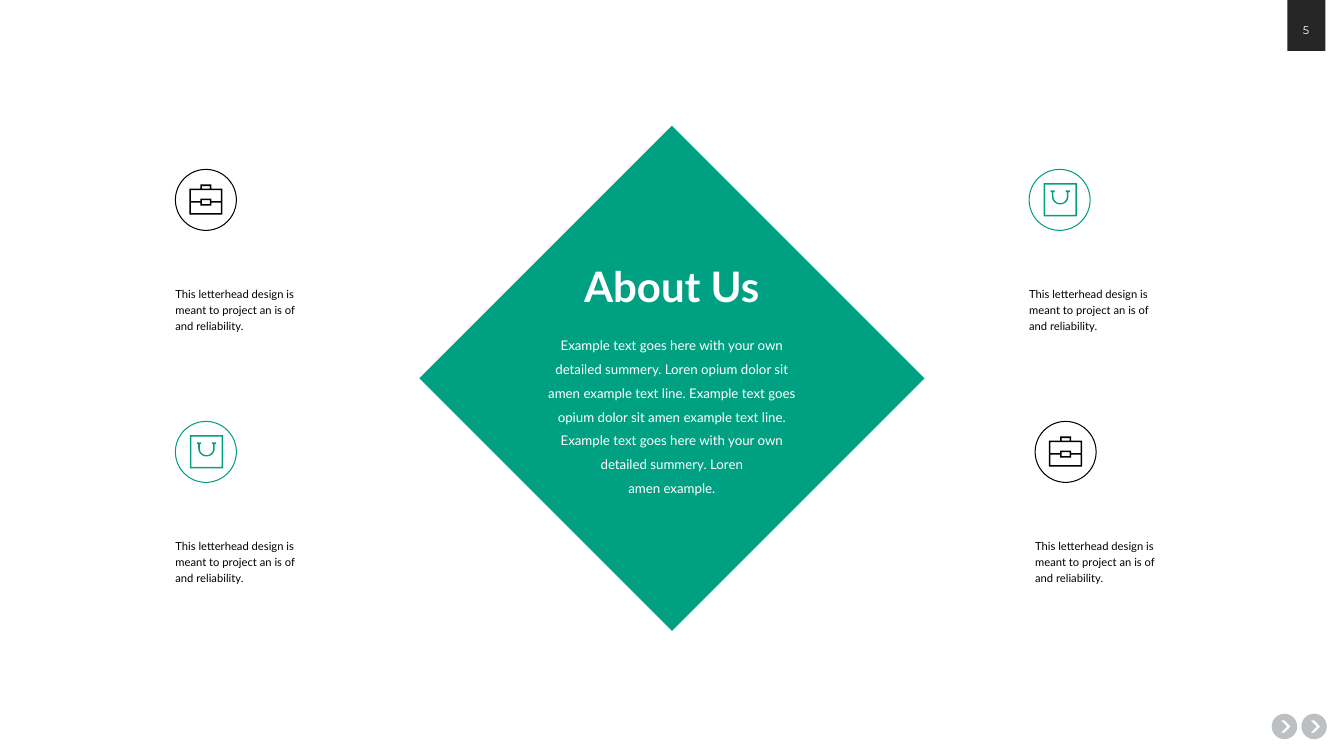
import math

import pptx
import pptx.dml.color
import pptx.enum.shapes
import pptx.enum.text
import pptx.oxml.ns
import pptx.util
from lxml import etree

Pt = pptx.util.Pt
SHAPE = pptx.enum.shapes.MSO_SHAPE
ALIGN = pptx.enum.text.PP_ALIGN
ANCHOR = pptx.enum.text.MSO_ANCHOR
AUTO = pptx.enum.text.MSO_AUTO_SIZE

COLORS = {
    "green": "00A082",
    "black": "000000",
    "white": "FFFFFF",
    "tab": "262626",
    "number": "FEFEFE",
    "button": "7D8287",
}
CARD_TEXT = "This letterhead design is meant to project an is of and reliability."
ABOUT_TEXT = [
    "Example text goes here with your own detailed summery. Loren opium dolor sit "
    "amen example text line. Example text goes opium dolor sit amen example text line. "
    "Example text goes here with your own detailed summery. Loren",
    "amen example.",
]
CARDS = [
    (735.1, 121, "green", "bag"),
    (739.4, 301, "black", "briefcase"),
    (125.3, 121, "black", "briefcase"),
    (125.3, 301, "green", "bag"),
]
CIRCLE = 43.6


def rgb(name):
    return pptx.dml.color.RGBColor.from_string(COLORS[name])


def apply_format(target, values):
    for name, value in values.items():
        setattr(target, name, value)


def paint(sp, fill=None, line=None, alpha=None):
    sp.shadow.inherit = False
    if fill:
        sp.fill.solid()
        sp.fill.fore_color.rgb = rgb(fill)
    else:
        sp.fill.background()
    if line:
        sp.line.color.rgb = rgb(line)
        sp.line.width = Pt(0.75)
    else:
        sp.line.fill.background()
    if alpha:
        color = sp.element.spPr.find(".//" + pptx.oxml.ns.qn("a:srgbClr"))
        etree.SubElement(color, pptx.oxml.ns.qn("a:alpha"), val=str(alpha * 1000))


def add_preset(s, kind, box, **style):
    sp = s.shapes.add_shape(kind, *map(Pt, box))
    paint(sp, **style)
    return sp


def write(sp, lines, color, font, paragraph, frame):
    tf = sp.text_frame
    apply_format(tf, {"word_wrap": True, "vertical_anchor": ANCHOR.MIDDLE, **frame})
    for i, line in enumerate(lines):
        p = tf.add_paragraph() if i else tf.paragraphs[0]
        apply_format(p, paragraph)
        r = p.add_run()
        r.text = line
        apply_format(r.font, {"name": "Lato", **font})
        r.font.color.rgb = rgb(color)


def add_text(s, box, lines, color, font, paragraph, frame):
    sp = s.shapes.add_textbox(*map(Pt, box))
    write(sp, lines, color, font, paragraph, frame)


def add_outline(s, left, top, contours, color):
    contours = [[(Pt(left + x), Pt(top + y)) for x, y in c] for c in contours]
    builder = s.shapes.build_freeform(*contours[0][0], scale=1.0)
    for i, (start, *rest) in enumerate(contours):
        if i:
            builder.move_to(*start)
        builder.add_line_segments(rest, close=True)
    paint(builder.convert_to_shape(), fill=color)


def rectangle(x1, y1, x2, y2):
    return [(x1, y1), (x2, y1), (x2, y2), (x1, y2)]


def notched(x1, y1, x2, y2, notch, edge="top"):
    if edge == "top":
        return [(x1, y1), (7.9, y1), (7.9, notch), (15.8, notch),
                (15.8, y1), (x2, y1), (x2, y2), (x1, y2)]
    return [(x1, y1), (x2, y1), (x2, y2), (15.8, y2),
            (15.8, notch), (7.9, notch), (7.9, y2), (x1, y2)]


def arc(rx, ry, start, end, steps=24):
    angles = [math.radians(start + (end - start) * i / steps) for i in range(steps + 1)]
    return [(11.8 + rx * math.cos(a), 9.4 + ry * math.sin(a)) for a in angles]


def add_briefcase(s, left, top, color):
    add_outline(s, left + 9.9, top + 10.8, [
        notched(0, 2.9, 23.7, 21.6, 0),
        rectangle(9, 1.1, 14.7, 2.9),
        notched(1.1, 4.1, 22.6, 11.9, 10.1, "bottom"),
        rectangle(9, 11.1, 14.7, 14),
        notched(1.1, 13, 22.6, 20.5, 15.1),
    ], color)


def add_bag(s, left, top, color):
    left, top = left + 10.4, top + 9.9
    add_outline(s, left, top, [
        rectangle(0, 0, 23.7, 23.7),
        rectangle(1.1, 1.1, 22.6, 22.6),
    ], color)
    right_foot = [(17.7, 6.3), (18.7, 6.3), (18.7, 5.1), (15.7, 5.1), (15.7, 6.3), (16.6, 6.3)]
    left_foot = [(23.6 - x, y) for x, y in reversed(right_foot)]
    handle = arc(5.9, 5.7, 180, 0) + right_foot + arc(4.8, 4.8, 0, 180) + left_foot
    add_outline(s, left, top, [handle], color)


ICONS = {"bag": add_bag, "briefcase": add_briefcase}


def add_card(s, left, top, color, icon):
    add_preset(s, SHAPE.OVAL, (left, top, CIRCLE, CIRCLE), line=color)
    ICONS[icon](s, left, top, color)
    margins = dict.fromkeys(("margin_left", "margin_top", "margin_right", "margin_bottom"), 0)
    add_text(s, (left, top + 80.6, 95.8, 37.4), [CARD_TEXT], "black",
             {"size": Pt(8)}, {"line_spacing": 1.2}, margins)


def add_button(s, left):
    add_preset(s, SHAPE.OVAL, (left, 509.8, 18.2, 18.2), fill="button", alpha=50)
    chevron = add_preset(s, SHAPE.CHEVRON, (left + 6.8, 514.6, 6.5, 8.8), fill="white")
    chevron.adjustments[0] = 0.66


def add_page_number(s):
    add_preset(s, SHAPE.RECTANGLE, (919.6, -2, 27.1, 38.4), fill="tab")
    add_text(s, (916, 13.7, 34, 15.1), ["5"], "number",
             {"size": Pt(8), "name": "Montserrat"}, {"alignment": ALIGN.CENTER}, {})


def add_about(s):
    add_preset(s, SHAPE.DIAMOND, (299.6, 89.9, 360.8, 360.8), fill="green")
    add_text(s, (378, 231.8, 203.8, 126), ABOUT_TEXT, "white", {"size": Pt(9.5)},
             {"alignment": ALIGN.CENTER, "line_spacing": 1.5},
             {"auto_size": AUTO.SHAPE_TO_FIT_TEXT})
    title = s.shapes.title
    box = {"left": 408.2, "top": 182.2, "width": 143.3, "height": 43.9}
    apply_format(title, {name: Pt(value) for name, value in box.items()})
    write(title, ["About Us"], "white", {"size": Pt(30), "bold": True},
          {"alignment": ALIGN.CENTER},
          {"word_wrap": False, "vertical_anchor": ANCHOR.TOP,
           "auto_size": AUTO.SHAPE_TO_FIT_TEXT})
    s.shapes.element.append(title.element)


def main():
    prs = pptx.Presentation()
    apply_format(prs, {"slide_width": Pt(960), "slide_height": Pt(540)})
    s = prs.slides.add_slide(prs.slide_layouts[5])
    for left in (929.6, 908.4):
        add_button(s, left)
    add_page_number(s)
    for card in CARDS:
        add_card(s, *card)
    add_about(s)
    prs.save("out.pptx")


if __name__ == "__main__":
    main()
